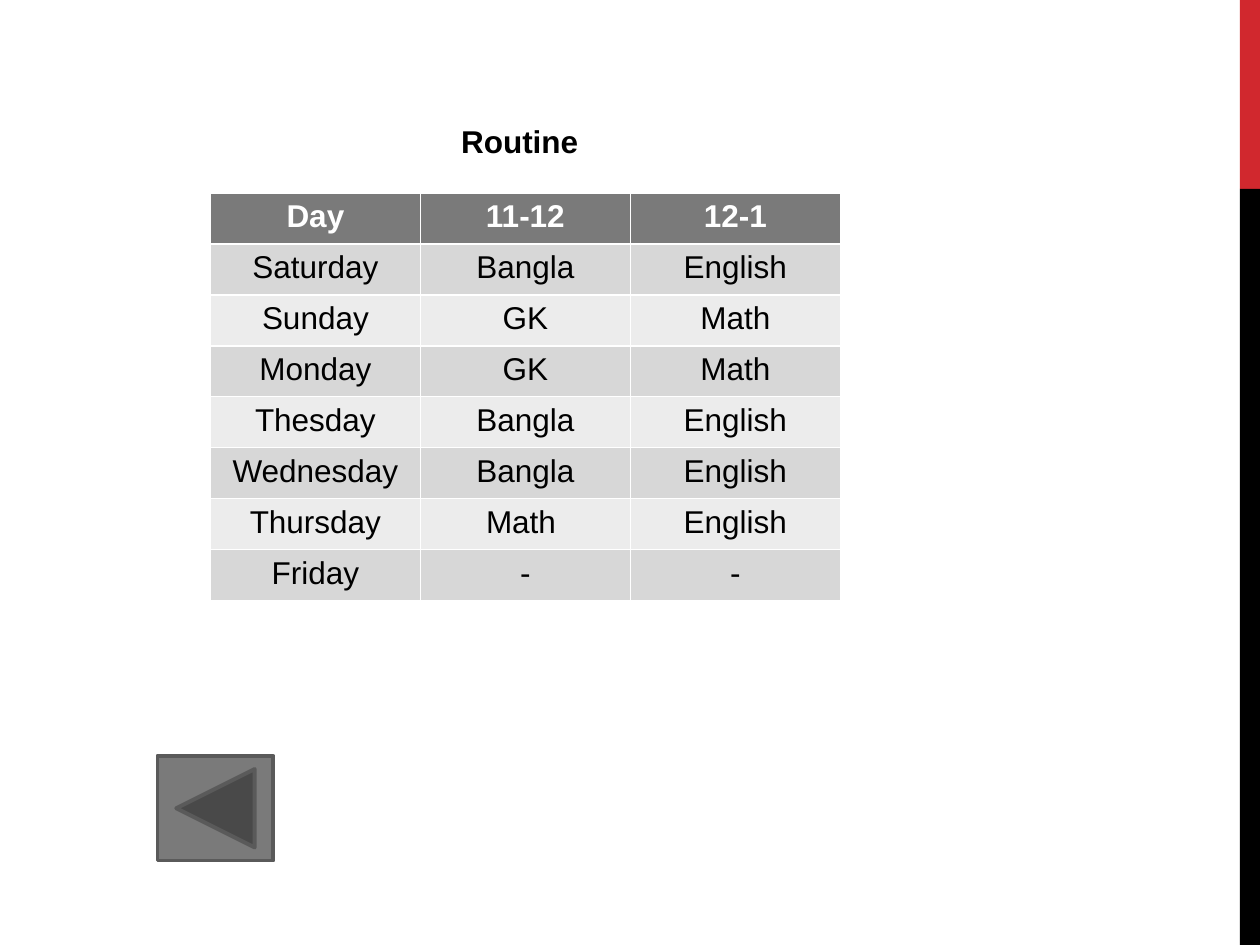
from pptx import Presentation
from pptx.dml.color import RGBColor
from pptx.enum.shapes import MSO_SHAPE
from pptx.enum.text import MSO_ANCHOR, MSO_AUTO_SIZE, PP_ALIGN
from pptx.util import Inches, Pt

RECTANGLE = MSO_SHAPE.RECTANGLE
BACK_BUTTON = MSO_SHAPE.ACTION_BUTTON_BACK_OR_PREVIOUS
CENTER = PP_ALIGN.CENTER
TOP = MSO_ANCHOR.TOP
NO_AUTOFIT = MSO_AUTO_SIZE.NONE

# Content
TITLE = "Routine"
ROUTINE = [
    ("Day", "11-12", "12-1"),
    ("Saturday", "Bangla", "English"),
    ("Sunday", "GK", "Math"),
    ("Monday", "GK", "Math"),
    ("Thesday", "Bangla", "English"),
    ("Wednesday", "Bangla", "English"),
    ("Thursday", "Math ", "English"),
    ("Friday", "-", "-"),
]

COLORS = {
    "red": "D1282E", "black": "000000", "white": "FFFFFF",
    "gray": "7A7A7A", "outline": "5A5A5A",
    "dark band": "D7D7D7", "light band": "ECECEC",
}

# Places: left, top, width, height
SIDE_BARS = [("red", (9.84, 0, 0.16, 1.5)), ("black", (9.84, 1.5, 0.16, 6))]
TITLE_PLACE = (2.75, 0.92, 2.75, 0.4)
TABLE_PLACE = (1.67, 1.53, 5, 3.24)
BUTTON_PLACE = (1.25, 6, 0.92, 0.83)


def color(name):
    return RGBColor.from_string(COLORS[name])


def inches(place):
    return [Inches(value) for value in place]


def write(frame, text, color_name, bold):
    para = frame.paragraphs[0]
    para.alignment = CENTER
    span = para.add_run()
    span.text = text
    formats = {"name": "Arial", "size": Pt(18), "bold": bold}
    for name, value in formats.items():
        setattr(span.font, name, value)
    span.font.color.rgb = color(color_name)


def add_filled_shape(page, kind, place, fill_name):
    shape = page.shapes.add_shape(kind, *inches(place))
    shape.shadow.inherit = False
    shape.fill.solid()
    shape.fill.fore_color.rgb = color(fill_name)
    shape.line.fill.background()
    return shape


def add_routine(page):
    table = page.shapes.add_table(
        len(ROUTINE), len(ROUTINE[0]), *inches(TABLE_PLACE)).table
    for row_index, row in enumerate(ROUTINE):
        header = row_index == 0
        band = "dark band" if row_index % 2 else "light band"
        for column_index, text in enumerate(row):
            cell = table.cell(row_index, column_index)
            cell.fill.solid()
            cell.fill.fore_color.rgb = color("gray" if header else band)
            write(cell.text_frame, text, "white" if header else "black", header)


def main():
    deck = Presentation()
    deck.slide_width, deck.slide_height = Inches(10), Inches(7.5)
    page = deck.slides.add_slide(deck.slide_layouts[5])

    # Side bars
    for fill_name, place in SIDE_BARS:
        add_filled_shape(page, RECTANGLE, place, fill_name)

    # Timetable
    add_routine(page)

    # Title
    title = page.shapes.title
    title.left, title.top, title.width, title.height = inches(TITLE_PLACE)
    frame = title.text_frame
    frame_formats = {"word_wrap": True, "auto_size": NO_AUTOFIT, "vertical_anchor": TOP}
    for name, value in frame_formats.items():
        setattr(frame, name, value)
    write(frame, TITLE, "black", True)

    # Back button
    button = add_filled_shape(page, BACK_BUTTON, BUTTON_PLACE, "gray")
    button.line.color.rgb = color("outline")
    button.line.width = Pt(2.25)

    deck.save("out.pptx")


if __name__ == "__main__":
    main()
